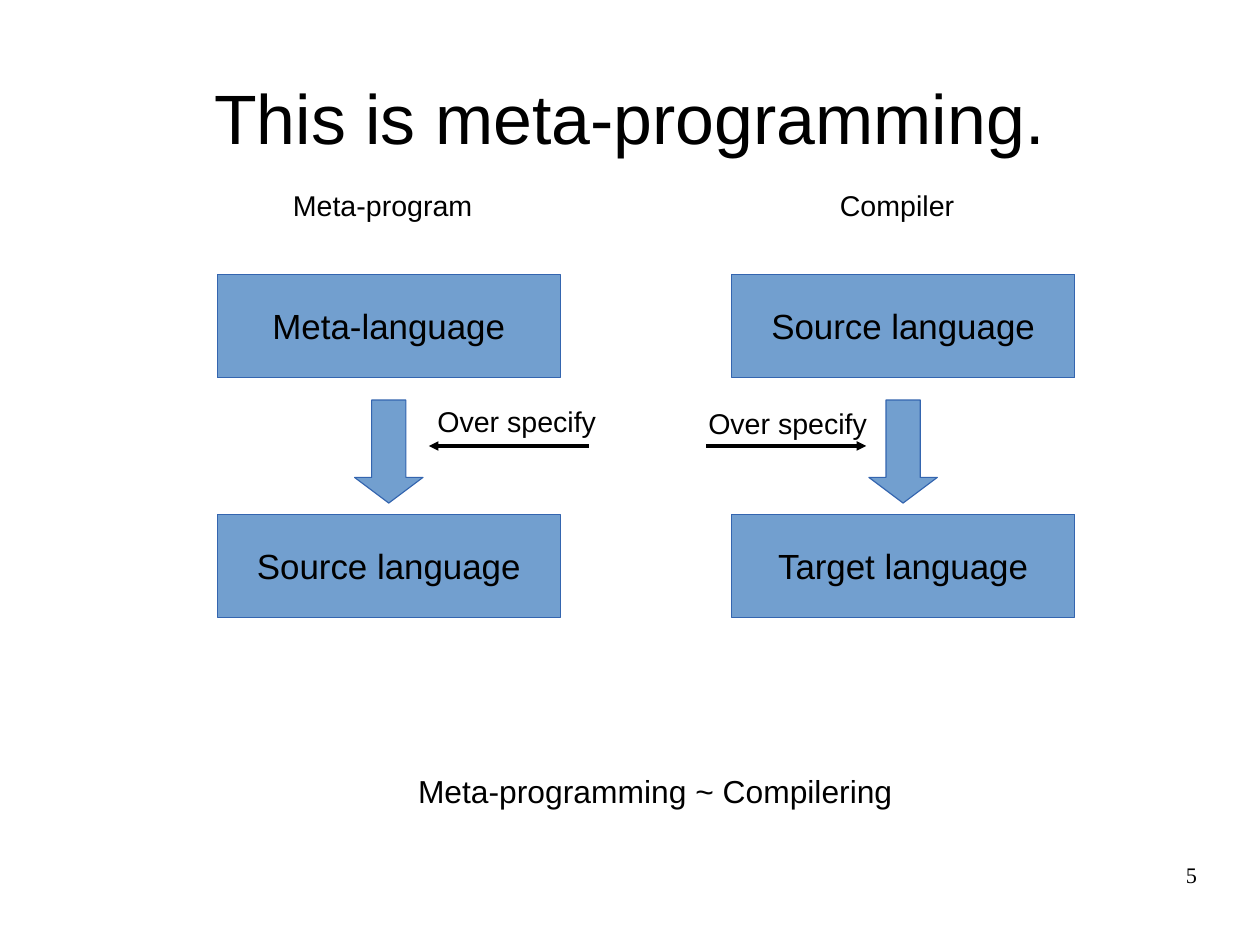
from dataclasses import dataclass

from lxml.etree import SubElement
from pptx import Presentation
from pptx.dml.color import RGBColor
from pptx.enum.shapes import MSO_CONNECTOR, MSO_SHAPE
from pptx.enum.text import MSO_ANCHOR, PP_ALIGN
from pptx.oxml.ns import qn
from pptx.util import Cm, Pt


@dataclass(frozen=True)
class Theme:
    ink: RGBColor = RGBColor(0x00, 0x00, 0x00)
    fill: RGBColor = RGBColor(0x72, 0x9F, 0xCF)
    edge: RGBColor = RGBColor(0x34, 0x65, 0xAF)
    sans: str = "Arial"
    serif: str = "Times New Roman"
    title: int = 44
    language: int = 22
    summary: int = 20
    label: int = 18
    number: int = 14


THEME = Theme()

TITLE = "This is meta-programming."
SUMMARY = "Meta-programming ~ Compilering"
PAGE_NUMBER = "5"
COLUMNS = [
    {"left": 4.83, "heading": "Meta-program", "heading_left": 5.33,
     "languages": ("Meta-language", "Source language")},
    {"left": 16.26, "heading": "Compiler", "heading_left": 16.76,
     "languages": ("Source language", "Target language")},
]
NOTES = [
    {"text": "Over specify", "left": 15.49, "top": 8.89, "line": (15.7, 19.25)},
    {"text": "Over specify", "left": 9.47, "top": 8.86, "line": (13.08, 9.53)},
]

BOX_WIDTH, BOX_HEIGHT = 7.62, 2.29
FIRST_ROW, ROW_STEP = 6.1, 5.33
ARROW_WIDTH, ARROW_TOP = 1.52, 8.89
NOTE_LINE = 9.91


def write(shape, text, size, font=THEME.sans, align=PP_ALIGN.CENTER,
          anchor=MSO_ANCHOR.TOP, wrap=True):
    frame = shape.text_frame
    frame.word_wrap = wrap
    frame.vertical_anchor = anchor
    para = frame.paragraphs[0]
    para.text = text
    para.alignment = align
    para.font.name = font
    para.font.size = Pt(size)
    para.font.color.rgb = THEME.ink
    return frame


def add_text(page, place, text, size, inset=True, **style):
    box = page.shapes.add_textbox(*map(Cm, place))
    frame = write(box, text, size, **style)
    if not inset:
        frame.margin_left = frame.margin_right = 0
        frame.margin_top = frame.margin_bottom = 0


def add_block(page, kind, left, top, width):
    block = page.shapes.add_shape(kind, Cm(left), Cm(top), Cm(width), Cm(BOX_HEIGHT))
    block.shadow.inherit = False
    block.fill.solid()
    block.fill.fore_color.rgb = THEME.fill
    block.line.color.rgb = THEME.edge
    block.line.width = Pt(0)
    return block


def add_column(page, column):
    left = column["left"]
    for row, language in enumerate(column["languages"]):
        box = add_block(page, MSO_SHAPE.FLOWCHART_PROCESS, left,
                        FIRST_ROW + row * ROW_STEP, BOX_WIDTH)
        write(box, language, THEME.language, anchor=MSO_ANCHOR.MIDDLE, wrap=False)
    arrow = add_block(page, MSO_SHAPE.DOWN_ARROW,
                      left + (BOX_WIDTH - ARROW_WIDTH) / 2, ARROW_TOP, ARROW_WIDTH)
    arrow.adjustments[0] = 0.5
    arrow.adjustments[1] = 0.375
    add_text(page, (column["heading_left"], 4.06, 6.35, 1.78),
             column["heading"], THEME.label)


def add_note(page, note):
    start, end = note["line"]
    pointer = page.shapes.add_connector(
        MSO_CONNECTOR.STRAIGHT, Cm(start), Cm(NOTE_LINE), Cm(end), Cm(NOTE_LINE))
    pointer.line.color.rgb = THEME.ink
    pointer.line.width = Pt(0)
    SubElement(pointer.line._get_or_add_ln(), qn("a:tailEnd"), type="triangle")
    SubElement(pointer._element.spPr, qn("a:effectLst"))
    add_text(page, (note["left"], note["top"], 4.04, 1.04), note["text"],
             THEME.label, align=PP_ALIGN.LEFT, wrap=False)


def main():
    deck = Presentation()
    deck.slide_width, deck.slide_height = Cm(28), Cm(21)
    page = deck.slides.add_slide(deck.slide_layouts[6])
    add_text(page, (1.4, 0.84, 25.2, 3.51), TITLE, THEME.title,
             inset=False, anchor=MSO_ANCHOR.MIDDLE)
    for column in COLUMNS:
        add_column(page, column)
    for note in NOTES:
        add_note(page, note)
    add_text(page, (9.04, 17.02, 11.05, 1.14), SUMMARY, THEME.summary,
             align=PP_ALIGN.LEFT, wrap=False)
    add_text(page, (20.07, 19.13, 6.53, 1.45), PAGE_NUMBER, THEME.number,
             inset=False, font=THEME.serif, align=PP_ALIGN.RIGHT)
    deck.save("out.pptx")


if __name__ == "__main__":
    main()
